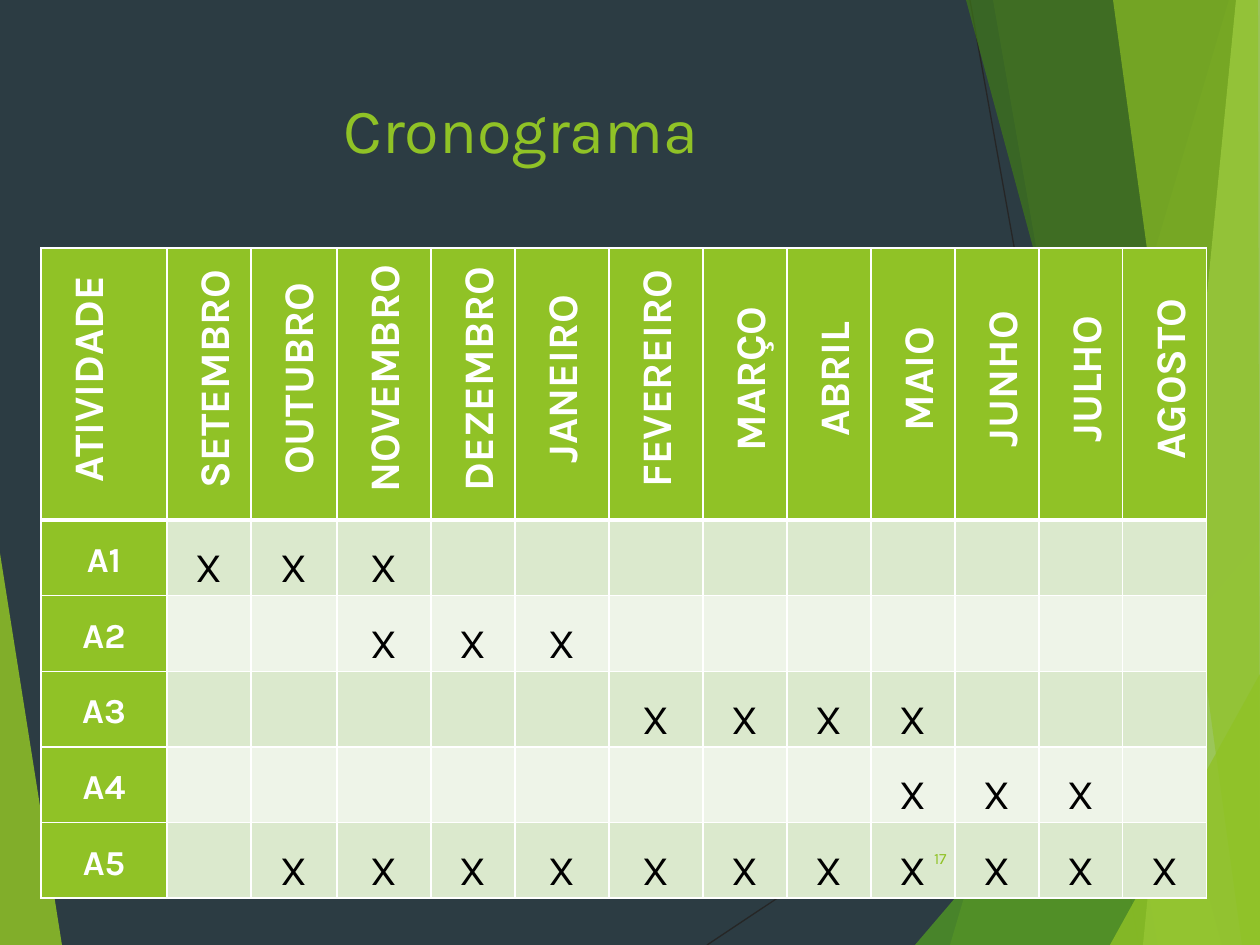
from lxml.etree import SubElement
from pptx import Presentation
from pptx.dml.color import RGBColor
from pptx.enum.shapes import MSO_CONNECTOR
from pptx.enum.text import MSO_ANCHOR, PP_ALIGN
from pptx.oxml import parse_xml
from pptx.oxml.ns import nsdecls, qn
from pptx.util import Pt

SCALE = 914400 / 126
GREEN, WHITE, BLACK = "90C226", "FFFFFF", "000000"
BANDS = ["DBE9CD", "EEF4E8"]
MONTHS = ["SETEMBRO", "OUTUBRO", "NOVEMBRO", "DEZEMBRO", "JANEIRO", "FEVEREIRO",
          "MARÇO", "ABRIL", "MAIO", "JUNHO", "JULHO", "AGOSTO"]
ACTIVITIES = {"A1": (1, 3), "A2": (3, 5), "A3": (6, 9), "A4": (9, 11), "A5": (2, 12)}
COLUMNS = [126, 84, 86, 94, 84, 94, 94] + [84] * 6
HEADER_HEIGHT, ROW_HEIGHT = 272, 69
RAYS = [((707, 945), (1261, 576)), ((970, 0), (1139, 945))]
FACETS = [
    ([(0, 553), (62, 945), (0, 945)], GREEN, 85),
    ([(1229, 0), (950, 945), (1260, 945), (1260, 0)], GREEN, 30),
    ([(993, 0), (1158, 945), (1260, 945), (1260, 0)], GREEN, 20),
    ([(915, 945), (1260, 541), (1260, 945)], "54A021", 72),
    ([(966, 0), (1222, 945), (1260, 945), (1260, 0)], "3F7819", 70),
    ([(1236, 0), (1143, 945), (1260, 945), (1260, 0)], "C0E474", 70),
    ([(1113, 0), (1242, 945), (1260, 945), (1258, 0)], GREEN, 65),
    ([(1110, 945), (1260, 674), (1260, 945)], GREEN, 80),
]


def px(length):
    """Turn picture pixels into EMU."""
    return round(length * SCALE)


def paint(target, color):
    """Give a fill, or the fill of a line, one solid colour."""
    target.solid()
    target.fore_color.rgb = RGBColor.from_string(color)


def write(frame, text, size, color, bold=False, align=PP_ALIGN.CENTER, spacing=None):
    """Write one formatted paragraph into a text frame."""
    paragraph = frame.paragraphs[0]
    paragraph.alignment = align
    paragraph.line_spacing = spacing
    run = paragraph.add_run()
    run.text = text
    run.font.name, run.font.size, run.font.bold = "Karla", Pt(size), bold
    paint(run.font.fill, color)
    return paragraph


def label(slide, box, text, anchor=MSO_ANCHOR.TOP, **style):
    """Place a wrapped text box."""
    frame = slide.shapes.add_textbox(*map(px, box)).text_frame
    frame.word_wrap = True
    frame.vertical_anchor = anchor
    write(frame, text, **style)


def backdrop(slide, box):
    """Draw the dark ground with its thin rays and translucent facets."""
    left, top = box[:2]
    paint(slide.background.fill, "2C3C43")
    for (x1, y1), (x2, y2) in RAYS:
        ray = slide.shapes.add_connector(MSO_CONNECTOR.STRAIGHT, px(left + x1), px(top + y1),
                                         px(left + x2), px(top + y2))
        paint(ray.line.fill, "262626")
        ray.line.width = Pt(0.75)
        SubElement(ray._element.spPr, qn("a:effectLst"))
    for points, color, opacity in FACETS:
        outline = slide.shapes.build_freeform(*points[0], scale=SCALE)
        outline.add_line_segments(points[1:], close=True)
        facet = outline.convert_to_shape(px(left), px(top))
        facet.shadow.inherit = False
        facet.line.fill.background()
        paint(facet.fill, color)
        tint = facet._element.spPr.find(qn("a:solidFill"))[0]
        SubElement(tint, qn("a:alpha"), val=str(opacity * 1000))


def format_cell(cell, fill, top=1, bottom=1):
    """Set the fill, insets and white borders of a cell."""
    paint(cell.fill, fill)
    cell.margin_left = cell.margin_right = px(9)
    cell.margin_top = cell.margin_bottom = 0
    sides = {"L": 1, "R": 1, "T": top, "B": bottom}
    for position, (side, width) in enumerate(sides.items()):
        border = parse_xml(f'<a:ln{side} {nsdecls("a")} w="{Pt(width)}"><a:solidFill>'
                           f'<a:srgbClr val="{WHITE}"/></a:solidFill></a:ln{side}>')
        cell._tc.get_or_add_tcPr().insert(position, border)


def schedule(slide, box):
    """Build the table of activities by month."""
    table = slide.shapes.add_table(len(ACTIVITIES) + 1, len(COLUMNS), *map(px, box)).table
    table.horz_banding = False
    for column, width in zip(table.columns, COLUMNS):
        column.width = px(width)
    for index, row in enumerate(table.rows):
        row.height = px(ROW_HEIGHT if index else HEADER_HEIGHT)
    for column, heading in enumerate(["ATIVIDADE"] + MONTHS):
        cell = table.cell(0, column)
        format_cell(cell, GREEN, bottom=3)
        cell._tc.tcPr.set("vert", "vert270")
        paragraph = write(cell.text_frame, heading, 24, WHITE, bold=True, spacing=1.5)
        paragraph._p.get_or_add_pPr().set("marL", str(px(10)))
    for row, (activity, (first, last)) in enumerate(ACTIVITIES.items(), 1):
        for column in range(len(COLUMNS)):
            cell = table.cell(row, column)
            fill = BANDS[(row - 1) % 2] if column else GREEN
            format_cell(cell, fill, top=3 if row == 1 else 1)
            if column == 0:
                write(cell.text_frame, activity, 20, WHITE, bold=True, spacing=1.5)
            elif first <= column <= last:
                write(cell.text_frame, "X", 24, BLACK, spacing=1.5)


def schedule_slide(deck, box):
    """Assemble the schedule slide inside its box."""
    left, top, width, height = box
    slide = deck.slides.add_slide(deck.slide_layouts[6])
    backdrop(slide, box)
    label(slide, (left + 84, top + 84, 874, 181), "Cronograma", size=36, color=GREEN)
    schedule(slide, (left + 41, top + 248, sum(COLUMNS),
                     HEADER_HEIGHT + ROW_HEIGHT * len(ACTIVITIES)))
    label(slide, (left + 888, top + 833, 71, 50), "17", MSO_ANCHOR.MIDDLE,
          size=9, color=GREEN, align=PP_ALIGN.RIGHT)


deck = Presentation()
deck.slide_width, deck.slide_height = px(1260), px(945)
schedule_slide(deck, (0, 0, 1260, 945))
deck.save("out.pptx")
